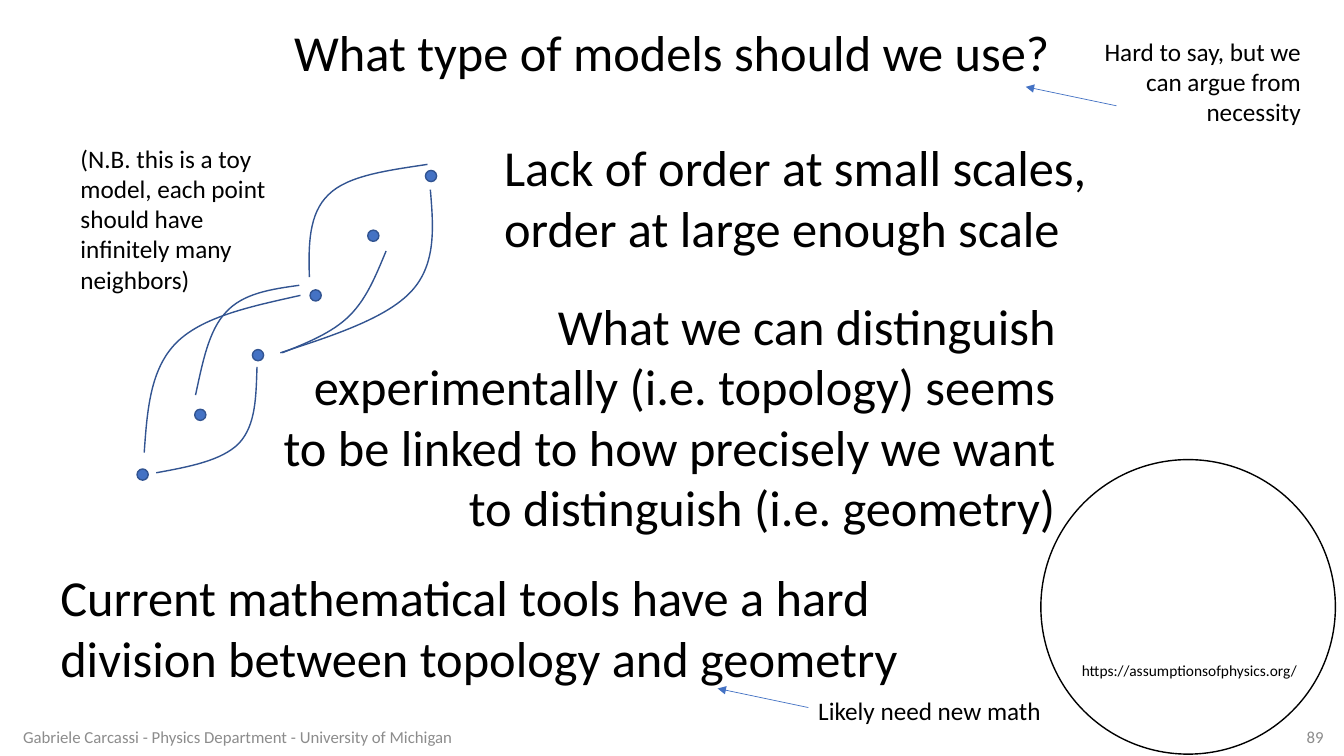
"""Build the slide on which type of models to use."""
from dataclasses import dataclass

from lxml import etree
from pptx import Presentation
from pptx.dml.color import RGBColor
from pptx.enum.shapes import MSO_CONNECTOR, MSO_SHAPE
from pptx.enum.text import MSO_ANCHOR, MSO_AUTO_SIZE, PP_ALIGN
from pptx.oxml.ns import qn
from pptx.util import Pt

LEFT, CENTER, RIGHT = PP_ALIGN.LEFT, PP_ALIGN.CENTER, PP_ALIGN.RIGHT
TOP, MIDDLE = MSO_ANCHOR.TOP, MSO_ANCHOR.MIDDLE
NO_AUTOFIT = MSO_AUTO_SIZE.NONE
OVAL = MSO_SHAPE.OVAL
STRAIGHT = MSO_CONNECTOR.STRAIGHT


@dataclass(frozen=True)
class Theme:
    """Colours, font and type sizes of the slide."""
    font: str = "Calibri"
    ink: RGBColor = RGBColor(0, 0, 0)
    muted: RGBColor = RGBColor(0x8C, 0x8C, 0x8C)
    accent: RGBColor = RGBColor(0x44, 0x72, 0xC4)
    outline: RGBColor = RGBColor(0x32, 0x54, 0x91)
    statement: int = 36
    remark: int = 18
    footer: int = 12
    link: int = 11
    stroke: float = 1
    arrow: float = 0.5


THEME = Theme()
SLIDE_SIZE = (960, 540)

TITLE = "What type of models should we use?"
TITLE_BOX = (0, 11.5, 960, 51)

STATEMENTS = [
    ("Lack of order at small scales,\norder at large enough scale",
     (353, 93.8, 434.9, 94.3), LEFT, False),
    ("Current mathematical tools have a hard division between topology and geometry",
     (36, 401, 693.4, 94.3), LEFT, True),
    ("What we can distinguish experimentally (i.e. topology) seems to be linked to "
     "how precisely we want to distinguish (i.e. geometry)",
     (180.3, 207.2, 581, 181.4), RIGHT, True),
]
REMARKS = [
    ("Hard to say, but we can argue from necessity", (763, 22.3, 173.3, 72.7), RIGHT),
    ("(N.B. this is a toy model, each point should have infinitely many neighbors)",
     (50.4, 98.6, 159.8, 116.6), LEFT),
    ("Likely need new math", (577.4, 493.2, 194.4, 28.8), LEFT),
]
FOOTERS = [
    ("Gabriele Carcassi - Physics Department - University of Michigan",
     (9.4, 517, 470.2, 18.7), LEFT),
    ("89", (908.6, 517.5, 43.9, 18), RIGHT),
]
LINK = "https://assumptionsofphysics.org/"
LINK_BOX = (765.6, 468.7, 169.2, 20.9)
LINK_CIRCLE = (743.5, 328.3, 210.4, 210.4)

ARROW_STARTS = [(797.5, 75.6), (577.4, 505.4)]
ARROW_REACH = (-64.8, -13.6)

POINT_COUNT = 6
POINT_SIZE = 8
FIRST_POINT = (101.9, 339)
POINT_STEP = (41.2, -42.65)

NEIGHBOR_CURVES = [
    [(183.6, 262.1), (182.9, 283), (182.9, 303.8), (170.6, 316.8),
     (158.4, 329), (135.4, 333.4), (111.6, 337.7)],
    [(275.8, 179.3), (268.6, 196.6), (262.1, 213.1), (249.8, 225.4),
     (237.6, 237.6), (219.6, 244.8), (201.6, 252)],
    [(307.4, 135.4), (309.6, 162), (311.8, 188.6), (293.8, 208.1),
     (275.8, 227.5), (237.6, 239.8), (200.2, 252)],
    [(213.8, 203.8), (193.7, 206.6), (173.5, 209.5), (161.3, 223.2),
     (149, 236.2), (144.7, 259.2), (139.7, 282.2)],
    [(214.6, 211), (179.3, 218.9), (144.7, 226.1), (126, 244.8),
     (107.3, 263.5), (105.1, 293), (103, 323.3)],
    [(305.3, 117.4), (277.2, 121.7), (248.4, 125.3), (234.7, 139),
     (220.3, 152.6), (220.3, 175.7), (221, 198)],
]


def points(lengths):
    return [Pt(length) for length in lengths]


def write(frame, wording, size, color, align=LEFT, anchor=TOP, wrap=True):
    frame.auto_size = NO_AUTOFIT
    frame.word_wrap = wrap
    frame.vertical_anchor = anchor
    paragraph = frame.paragraphs[0]
    paragraph.alignment = align
    for index, line in enumerate(wording.split("\n")):
        if index:
            paragraph.add_line_break()
        run = paragraph.add_run()
        run.text = line
        run.font.name = THEME.font
        run.font.size = Pt(size)
        run.font.color.rgb = color


def add_words(shapes, box, *style, **layout):
    write(shapes.add_textbox(*points(box)).text_frame, *style, **layout)


def paint(shape, line, fill=None):
    shape.shadow.inherit = False
    if fill is None:
        shape.fill.background()
    else:
        shape.fill.solid()
        shape.fill.fore_color.rgb = fill
    shape.line.color.rgb = line
    shape.line.width = Pt(THEME.stroke)


def add_curve(shapes, controls):
    start, *rest = [points(control) for control in controls]
    builder = shapes.build_freeform(*start, scale=1.0)
    builder.add_line_segments(rest, close=False)
    curve = builder.convert_to_shape()
    outline = next(curve._element.iter(qn("a:path")))
    segments = outline.findall(qn("a:lnTo"))
    for first in range(0, len(segments), 3):
        bend = etree.SubElement(outline, qn("a:cubicBezTo"))
        for segment in segments[first:first + 3]:
            bend.append(segment[0])
            outline.remove(segment)
    paint(curve, THEME.outline)


def add_toy_model(shapes):
    model = shapes.add_group_shape().shapes
    for index in range(POINT_COUNT):
        corner = [start + index * step - POINT_SIZE / 2
                  for start, step in zip(FIRST_POINT, POINT_STEP)]
        point = model.add_shape(OVAL, *points((*corner, POINT_SIZE, POINT_SIZE)))
        paint(point, THEME.outline, THEME.accent)
    for controls in NEIGHBOR_CURVES:
        add_curve(model, controls)


def add_arrow(shapes, start):
    tip = [place + reach for place, reach in zip(start, ARROW_REACH)]
    arrow = shapes.add_connector(STRAIGHT, *points((*start, *tip)))
    arrow.line.color.rgb = THEME.accent
    arrow.line.width = Pt(THEME.arrow)
    etree.SubElement(arrow.line._get_or_add_ln(), qn("a:tailEnd"), type="triangle")
    etree.SubElement(arrow._element.spPr, qn("a:effectLst"))


def main():
    deck = Presentation()
    deck.slide_width, deck.slide_height = points(SLIDE_SIZE)
    shapes = deck.slides.add_slide(deck.slide_layouts[5]).shapes

    title = shapes.title
    title.left, title.top, title.width, title.height = points(TITLE_BOX)
    write(title.text_frame, TITLE, THEME.statement, THEME.ink, CENTER)

    paint(shapes.add_shape(OVAL, *points(LINK_CIRCLE)), THEME.ink)
    add_words(shapes, LINK_BOX, LINK, THEME.link, THEME.ink, wrap=False)
    for wording, box, align in FOOTERS:
        add_words(shapes, box, wording, THEME.footer, THEME.muted, align, MIDDLE)
    add_toy_model(shapes)
    for wording, box, align, wrap in STATEMENTS:
        add_words(shapes, box, wording, THEME.statement, THEME.ink, align, wrap=wrap)
    for wording, box, align in REMARKS:
        add_words(shapes, box, wording, THEME.remark, THEME.ink, align)
    for start in ARROW_STARTS:
        add_arrow(shapes, start)

    deck.save("out.pptx")


if __name__ == "__main__":
    main()
